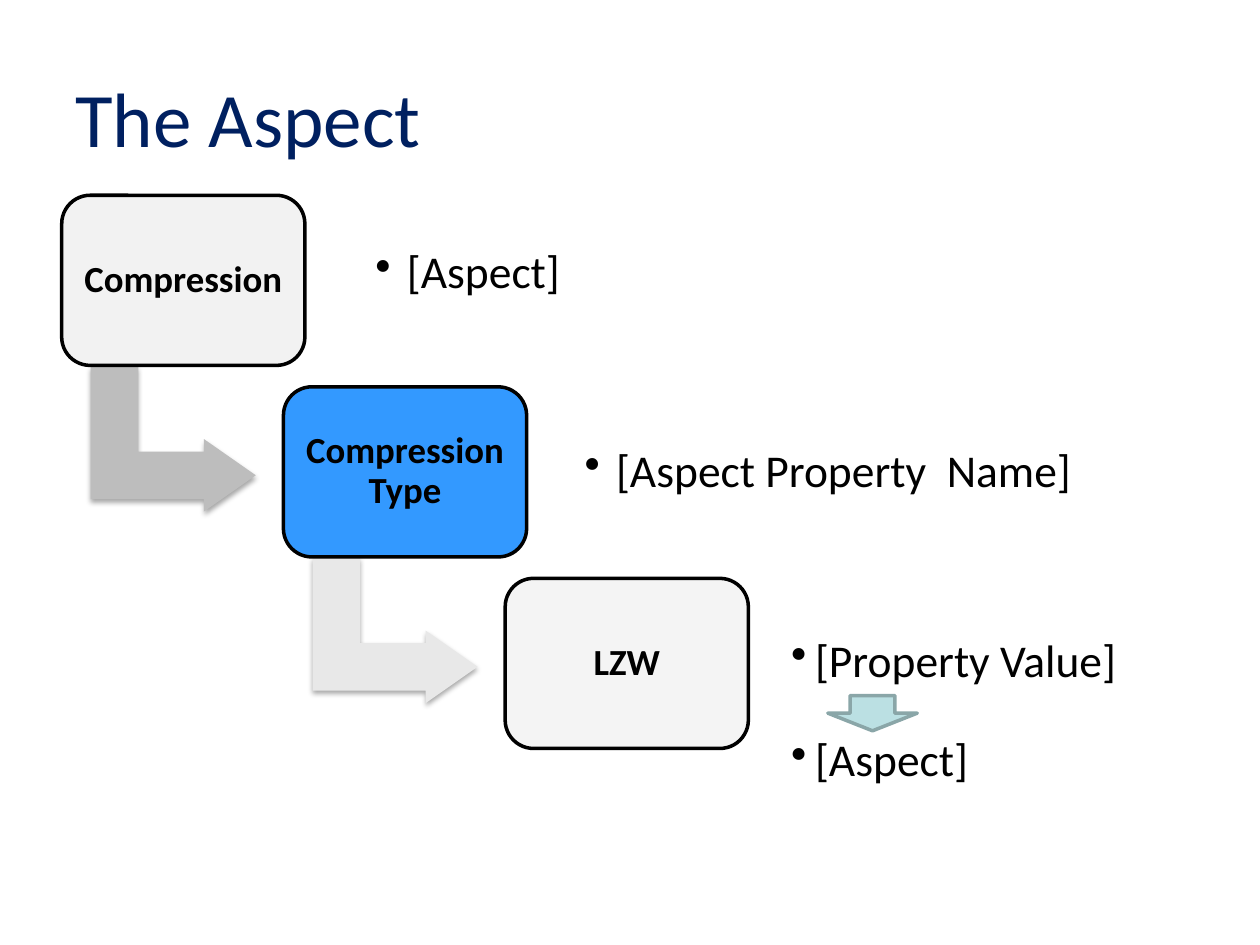
from dataclasses import dataclass

from lxml import etree
from pptx import Presentation
from pptx.dml.color import RGBColor
from pptx.enum import shapes, text
from pptx.oxml import ns
from pptx.util import Inches, Pt


@dataclass(frozen=True)
class Theme:
    font: str = "Calibri"
    title: str = "002060"
    ink: str = "000000"
    pale: str = "F2F2F2"
    accent: str = "3399FF"
    elbow_dark: str = "BDBDBD"
    elbow_light: str = "E8E8E8"
    down_fill: str = "BBE0E3"
    down_line: str = "8AA6A8"
    title_size: int = 44
    step_size: int = 21
    caption_size: int = 26


THEME = Theme()
STEP_SIZE = (1.93, 1.35)
STEP_ORIGIN = (0.49, 1.55)
STEP_SHIFT = (1.76, 1.52)
ELBOW_OFFSET = (0.31, 1.28)
ELBOW_SIZE = (1.15, 1.31)


def add_xml(parent, tag, **attributes):
    child = etree.SubElement(parent, ns.qn(tag))
    for key, value in attributes.items():
        child.set(key, str(value))
    return child


def write(frame, words, size, color=THEME.ink, bold=False, align=text.PP_ALIGN.LEFT,
          inset=0.1, inset_y=None, spacing=None, bullet_indent=None):
    frame.word_wrap = True
    frame.vertical_anchor = text.MSO_ANCHOR.MIDDLE
    frame.margin_left = frame.margin_right = Inches(inset)
    frame.margin_top = frame.margin_bottom = Inches(inset if inset_y is None else inset_y)
    paragraph = frame.paragraphs[0]
    paragraph.alignment = align
    paragraph.line_spacing = spacing
    run = paragraph.add_run()
    run.text = words
    run.font.name = THEME.font
    run.font.size = Pt(size)
    run.font.bold = bold
    run.font.color.rgb = RGBColor.from_string(color)
    if bullet_indent:
        properties = paragraph._p.get_or_add_pPr()
        properties.set("marL", str(Inches(bullet_indent)))
        properties.set("indent", str(-Inches(bullet_indent)))
        add_xml(properties, "a:buChar", char="•")


def add_block(slide, kind, box, fill, line=None, adjustments=()):
    block = slide.shapes.add_shape(kind, *map(Inches, box))
    block.shadow.inherit = False
    block.fill.solid()
    block.fill.fore_color.rgb = RGBColor.from_string(fill)
    if line:
        block.line.color.rgb = RGBColor.from_string(line)
        block.line.width = Pt(2)
    else:
        block.line.fill.background()
    for index, value in enumerate(adjustments):
        block.adjustments[index] = value
    return block


def add_title(slide, box, words):
    title = slide.shapes.add_textbox(*map(Inches, box))
    write(title.text_frame, words, THEME.title_size, color=THEME.title, inset_y=0.05)


def add_step(slide, box, words, fill, opacity=None):
    step = add_block(slide, shapes.MSO_SHAPE.ROUNDED_RECTANGLE, box, fill, THEME.ink, (0.167,))
    if opacity:
        color = step._element.spPr.find(ns.qn("a:solidFill"))[0]
        add_xml(color, "a:alpha", val=opacity * 1000)
    write(step.text_frame, words, THEME.step_size, bold=True,
          align=text.PP_ALIGN.CENTER, inset=0.09, spacing=0.9)


def add_elbow(slide, box, fill):
    elbow = add_block(slide, shapes.MSO_SHAPE.BENT_UP_ARROW, box, fill,
                      adjustments=(0.328, 0.25, 0.358))
    elbow.rotation = 90
    effects = elbow._element.spPr.find(ns.qn("a:effectLst"))
    shadow = add_xml(effects, "a:outerShdw", blurRad=Pt(3.1), dist=Pt(1.8),
                     dir=90 * 60000, rotWithShape=0)
    color = add_xml(shadow, "a:srgbClr", val=THEME.ink)
    add_xml(color, "a:alpha", val=35000)


def add_caption(slide, box, words, indent, inset):
    caption = slide.shapes.add_textbox(*map(Inches, box))
    write(caption.text_frame, words, THEME.caption_size, inset=inset,
          spacing=0.9, bullet_indent=indent)


def add_staircase(slide, origin):
    steps = (
        ("Compression", THEME.pale, None, THEME.elbow_dark),
        ("Compression Type", THEME.accent, None, THEME.elbow_light),
        ("LZW", THEME.pale, 81, None),
    )
    for index, (words, fill, opacity, elbow_fill) in enumerate(steps):
        left, top = (start + index * shift for start, shift in zip(origin, STEP_SHIFT))
        if elbow_fill:
            corner = (left + ELBOW_OFFSET[0], top + ELBOW_OFFSET[1])
            add_elbow(slide, (*corner, *ELBOW_SIZE), elbow_fill)
        add_step(slide, (left, top, *STEP_SIZE), words, fill, opacity)


def main():
    deck = Presentation()
    deck.slide_width, deck.slide_height = Inches(10), Inches(7.5)
    slide = deck.slides.add_slide(deck.slide_layouts[6])
    add_title(slide, (0.5, 0.3, 9, 1.25), "The Aspect")
    add_staircase(slide, STEP_ORIGIN)
    captions = (
        ((6.18, 4.73, 3.62, 1.06), "[Property Value]", 0.19, 0.1),
        ((4.53, 3.2, 4.47, 1.1), "[Aspect Property  Name]", 0.25, 0.11),
        ((2.87, 1.63, 2.06, 1.09), "[Aspect]", 0.25, 0.11),
        ((6.18, 5.52, 3.62, 1.06), "[Aspect]", 0.19, 0.1),
    )
    for caption in captions:
        add_caption(slide, *caption)
    add_block(slide, shapes.MSO_SHAPE.DOWN_ARROW, (6.57, 5.52, 0.71, 0.28),
              THEME.down_fill, THEME.down_line)
    deck.save("out.pptx")


if __name__ == "__main__":
    main()
